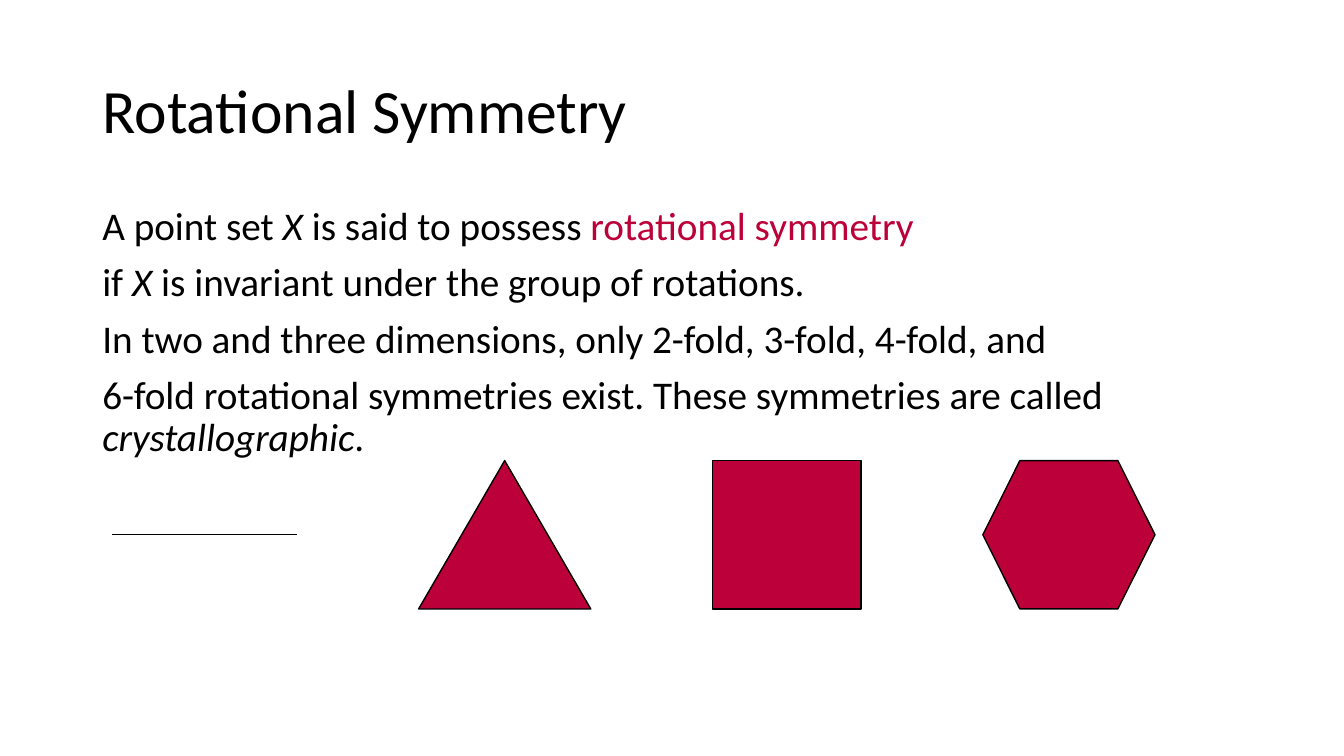
from lxml.etree import SubElement
from pptx import Presentation
from pptx.dml.color import RGBColor
from pptx.enum.shapes import MSO_CONNECTOR, MSO_SHAPE
from pptx.enum.text import MSO_ANCHOR, MSO_AUTO_SIZE, PP_ALIGN
from pptx.oxml.ns import qn
from pptx.util import Pt

COLORS = {"text": "000000", "accent": "BB003A", "paper": "FFFFFF"}
FONT = "Calibri"

# Each line is a list of (text, format) spans
DEFINITION = [
    [("A point set ", {}), ("X", {"italic": True}), (" is said to possess ", {}),
     ("rotational symmetry", {"color": "accent"})],
    [("if ", {}), ("X ", {"italic": True}),
     ("is invariant under the group of rotations.", {})],
    [("In two and three dimensions, only 2-fold, 3-fold, 4-fold, and", {})],
    [("6-fold rotational symmetries exist. These symmetries are called ", {}),
     ("crystallographic", {"italic": True}), (".", {})],
]

# Figures from 2-fold to 6-fold: preset shape (None for a segment) and width
FIGURES = [
    (None, 132),
    (MSO_SHAPE.ISOSCELES_TRIANGLE, 123),
    (MSO_SHAPE.RECTANGLE, 106),
    (MSO_SHAPE.HEXAGON, 123),
]
FIGURE_GAP = 87


def rgb(name):
    return RGBColor.from_string(COLORS[name])


def add_span(para, text, size=28, italic=False, color="text"):
    span = para.add_run()
    span.text = text
    span.font.name = FONT
    span.font.size = Pt(size)
    span.font.italic = italic
    span.font.color.rgb = rgb(color)


def add_title(page, left, top, width, height):
    title = page.shapes.title
    title.left, title.top = Pt(left), Pt(top)
    title.width, title.height = Pt(width), Pt(height)
    frame = title.text_frame
    frame.auto_size = MSO_AUTO_SIZE.NONE
    frame.vertical_anchor = MSO_ANCHOR.MIDDLE
    para = frame.paragraphs[0]
    para.alignment = PP_ALIGN.LEFT
    para.line_spacing = 0.9
    add_span(para, "Rotational Symmetry", size=44)


def add_definition(page, left, top, width, height):
    box = page.shapes.add_textbox(Pt(left), Pt(top), Pt(width), Pt(height))
    frame = box.text_frame
    frame.word_wrap = True
    for index, spans in enumerate(DEFINITION):
        para = frame.add_paragraph() if index else frame.paragraphs[0]
        para.line_spacing = 0.9
        para.space_before = Pt(10 if index else 0)
        for text, style in spans:
            add_span(para, text, **style)


def add_figures(page, left, top, height):
    for preset, width in FIGURES:
        if preset is None:
            middle = Pt(top + height / 2)
            figure = page.shapes.add_connector(
                MSO_CONNECTOR.STRAIGHT, Pt(left), middle, Pt(left + width), middle)
            SubElement(figure.line._get_or_add_ln().getparent(), qn("a:effectLst"))
        else:
            figure = page.shapes.add_shape(
                preset, Pt(left), Pt(top), Pt(width), Pt(height))
            figure.shadow.inherit = False
            figure.fill.solid()
            figure.fill.fore_color.rgb = rgb("accent")
        figure.line.color.rgb = rgb("text")
        figure.line.width = Pt(1)
        left += width + FIGURE_GAP


def main():
    deck = Presentation()
    deck.slide_width, deck.slide_height = Pt(960), Pt(540)
    page = deck.slides.add_slide(deck.slide_layouts.get_by_name("Title Only"))
    page.background.fill.solid()
    page.background.fill.fore_color.rgb = rgb("paper")
    add_title(page, left=66, top=28.8, width=828, height=104.4)
    add_definition(page, left=66, top=144, width=828, height=342.6)
    add_figures(page, left=80, top=329, height=106)
    deck.save("out.pptx")


if __name__ == "__main__":
    main()
